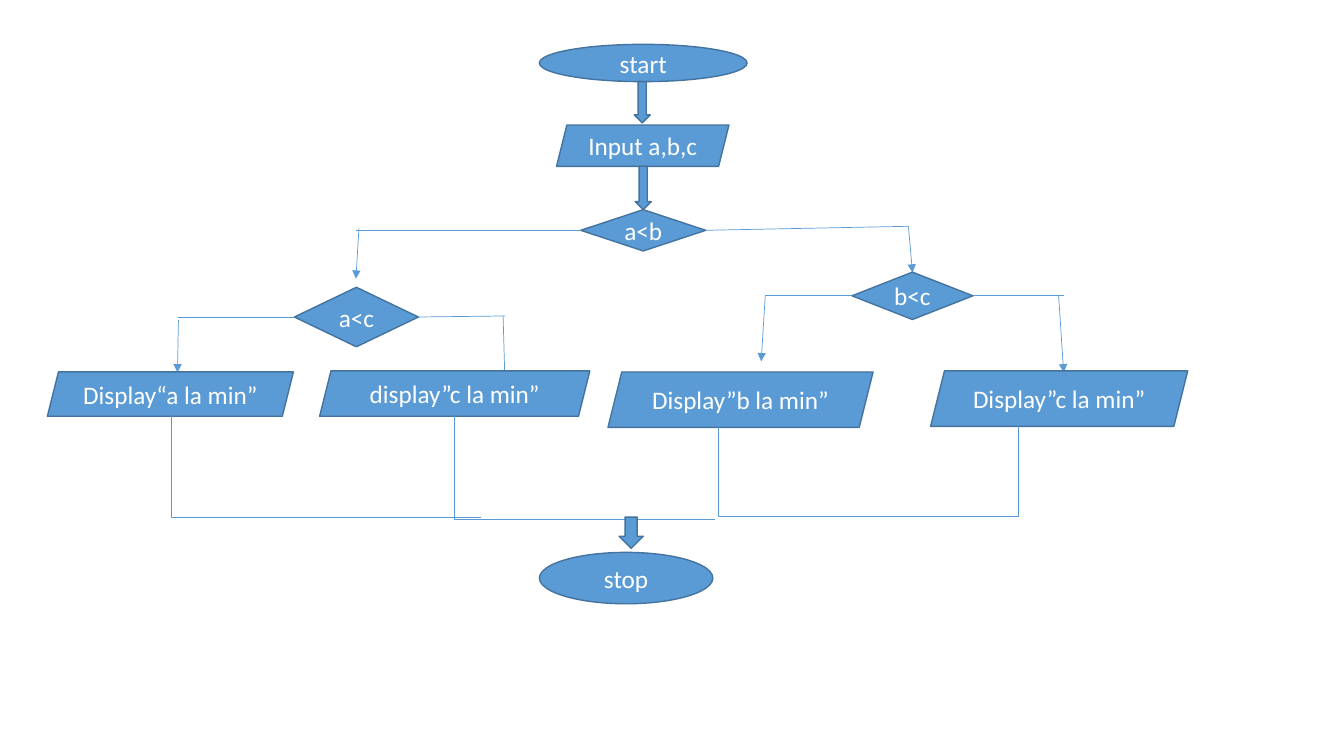
from lxml import etree
from pptx import Presentation
from pptx.dml.color import RGBColor
from pptx.enum.shapes import MSO_CONNECTOR, MSO_SHAPE
from pptx.enum.text import MSO_ANCHOR, PP_ALIGN
from pptx.oxml.ns import qn
from pptx.util import Inches, Pt

STRAIGHT, ELBOW = MSO_CONNECTOR.STRAIGHT, MSO_CONNECTOR.ELBOW
OVAL, DIAMOND = MSO_SHAPE.OVAL, MSO_SHAPE.DIAMOND
PARALLELOGRAM, DOWN_ARROW = MSO_SHAPE.PARALLELOGRAM, MSO_SHAPE.DOWN_ARROW
MIDDLE, CENTER = MSO_ANCHOR.MIDDLE, PP_ALIGN.CENTER
BLUE = RGBColor(0x5B, 0x9B, 0xD5)
DARK_BLUE = RGBColor(0x43, 0x73, 0x9E)
WHITE = RGBColor(0xFF, 0xFF, 0xFF)
FONT = "Calibri"


def add_node(slide, kind, box, text=""):
    """Add a blue flowchart shape, with centred text if given."""
    shape = slide.shapes.add_shape(kind, *map(Inches, box))
    shape.shadow.inherit = False
    shape.fill.solid()
    shape.fill.fore_color.rgb = BLUE
    shape.line.color.rgb = DARK_BLUE
    shape.line.width = Pt(1)
    if text:
        shape.text_frame.text = text
        shape.text_frame.word_wrap = True
        shape.text_frame.vertical_anchor = MIDDLE
        paragraph = shape.text_frame.paragraphs[0]
        paragraph.alignment = CENTER
        paragraph.font.name = FONT
        paragraph.font.size = Pt(18)
        paragraph.font.color.rgb = WHITE


def add_line(slide, start, end, kind=STRAIGHT, arrow=False):
    """Add a thin connector, with an arrowhead at its end if asked."""
    connector = slide.shapes.add_connector(kind, *map(Inches, (*start, *end)))
    connector.line.color.rgb = BLUE
    connector.line.width = Pt(0.5)
    if arrow:
        line = connector.line._get_or_add_ln()
        etree.SubElement(line, qn("a:tailEnd"), type="triangle")
    etree.SubElement(connector._element.spPr, qn("a:effectLst"))
    return connector


def add_bend(slide, start, drop, run):
    """Add a connector that goes down by drop, then right by run."""
    x, y = start[0] + run / 2, start[1] + drop / 2
    connector = add_line(slide, (x + drop / 2, y - run / 2),
                         (x - drop / 2, y + run / 2), ELBOW)
    properties = connector._element.spPr
    properties.find(qn("a:xfrm")).set("rot", str(270 * 60000))
    properties.find(qn("a:prstGeom")).set("prst", "bentConnector2")


def add_entry(slide, box):
    """Add the start and input steps with the arrows below them."""
    left, top, width, height = box
    add_node(slide, OVAL, (left, top, width, 0.37), "start")
    add_node(slide, DOWN_ARROW, (left + 0.94, top + 0.37, 0.16, 0.41))
    add_node(slide, PARALLELOGRAM, (left + 0.17, top + 0.8, 1.71, 0.41), "Input a,b,c")
    add_node(slide, DOWN_ARROW, (left + 0.95, top + 1.21, 0.16, height - 1.21))


def add_decision(slide, box, text, arms):
    """Add a diamond; each arm holds bend, drop start and tip from its side corner."""
    left, top, width, height = box
    add_node(slide, DIAMOND, box, text)
    for x, offsets in zip((left, left + width), arms):
        corner = (x, top + height / 2)
        bend, drop, tip = [(x + dx, corner[1] + dy) for dx, dy in offsets]
        add_line(slide, corner, bend)
        add_line(slide, drop, tip, arrow=True)


def add_output(slide, box, text):
    """Add a display step."""
    add_node(slide, PARALLELOGRAM, box, text)


def add_exit(slide, box, offset, drop, run):
    """Add the line that leaves the bottom of a display step."""
    left, top, _, height = box
    start = (left + offset, top + height)
    if run:
        add_bend(slide, start, drop, run)
    else:
        add_line(slide, start, (start[0], start[1] + drop))


def add_ending(slide, box):
    """Add the last arrow and the stop step."""
    left, top, width, height = box
    add_node(slide, DOWN_ARROW, (left + 0.79, top, 0.24, 0.31))
    add_node(slide, OVAL, (left, top + 0.35, width, height - 0.35), "stop")


DECISIONS = [
    ((5.76, 2.08, 1.24, 0.41), "a<b",
     [[(-2.23, 0), (-2.2, -0.02), (-2.23, 0.48)],
      [(2.01, -0.04), (2.01, -0.04), (2.05, 0.42)]]),
    ((2.92, 2.85, 1.23, 0.59), "a<c",
     [[(-1.15, 0), (-1.15, 0.03), (-1.16, 0.55)],
      [(0.86, -0.01), (0.84, -0.01), (0.86, 0.7)]]),
    ((8.45, 2.7, 1.2, 0.47), "b<c",
     [[(-0.86, 0), (-0.86, 0), (-0.9, 0.65)],
      [(0.9, 0), (0.85, 0), (0.9, 0.76)]]),
]
# Box, text, then the exit line's offset, drop and run
OUTPUTS = [
    ((0.47, 3.69, 2.44, 0.44), "Display“a la min”", (1.23, 1, 3.07)),
    ((3.17, 3.68, 2.68, 0.45), "display”c la min”", (1.34, 1.02, 2.58)),
    ((6.03, 3.69, 2.63, 0.55), "Display”b la min”", (1.09, 0.88, 2.98)),
    ((9.23, 3.68, 2.55, 0.55), "Display”c la min”", (0.87, 0.9, 0)),
]


def build_flowchart(slide):
    """Draw the flowchart from start to stop."""
    add_entry(slide, (5.35, 0.44, 2.06, 1.64))
    for box, text, arms in DECISIONS:
        add_decision(slide, box, text, arms)
    for box, text, _ in OUTPUTS:
        add_output(slide, box, text)
    for box, _, exit_line in OUTPUTS:
        add_exit(slide, box, *exit_line)
    add_ending(slide, (5.35, 5.13, 1.72, 0.86))


presentation = Presentation()
presentation.slide_width = Inches(13.33)
presentation.slide_height = Inches(7.5)
build_flowchart(presentation.slides.add_slide(presentation.slide_layouts[6]))
presentation.save("out.pptx")
